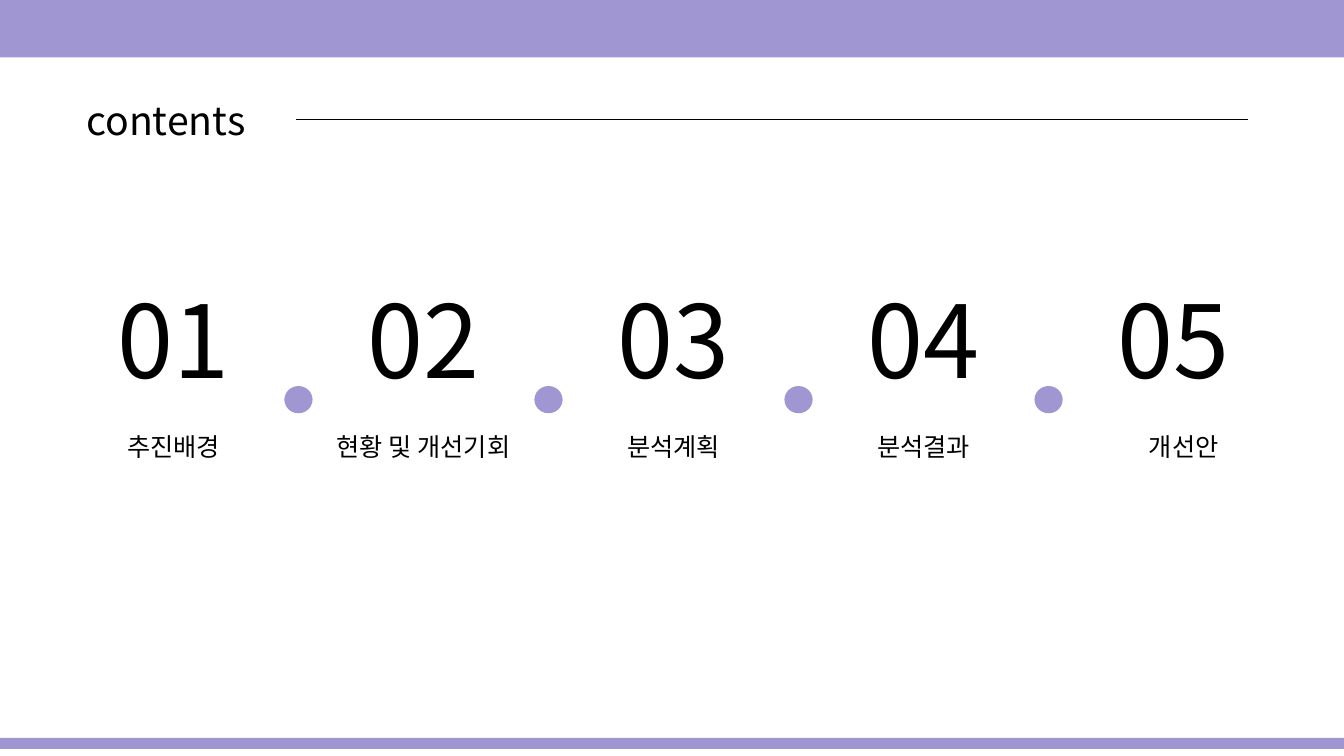
from lxml import etree
from pptx import Presentation
from pptx import util as u
from pptx.dml.color import RGBColor
from pptx.enum import shapes, text
from pptx.oxml.ns import qn

# Content: number, label, label shift from the column centre, label width
TITLE = "contents"
SECTIONS = [
    ("01", "추진배경", 0, 1.64),
    ("02", "현황 및 개선기회", 0, 2.35),
    ("03", "분석계획", 0, 1.64),
    ("04", "분석결과", 0, 1.64),
    ("05", "개선안", 0.1, 1.64),
]
FONT, PURPLE, BLACK = "Noto Sans CJK KR", "9F96D2", "000000"

# Grid, in inches
WIDTH, HEIGHT = 13.33, 7.5
FIRST_CENTER, COLUMN = 1.72, 2.48
DOT_WIDTH, DOT_HEIGHT = 0.28, 0.27

presentation = Presentation()
presentation.slide_width = u.Inches(WIDTH)
presentation.slide_height = u.Inches(HEIGHT)
slide = presentation.slides.add_slide(presentation.slide_layouts[6])


def color(value):
    return RGBColor.from_string(value)


def add_filled(kind, *box):
    shape = slide.shapes.add_shape(kind, *map(u.Inches, box))
    shape.shadow.inherit = False
    shape.fill.solid()
    shape.fill.fore_color.rgb = color(PURPLE)
    shape.line.fill.background()


def add_centered_text(content, size, center, top, width, height):
    box = (center - width / 2, top, width, height)
    frame = slide.shapes.add_textbox(*map(u.Inches, box)).text_frame
    frame.word_wrap = True
    frame.margin_left = frame.margin_right = 0
    paragraph = frame.paragraphs[0]
    paragraph.text = content
    paragraph.alignment = text.PP_ALIGN.CENTER
    paragraph.font.size = u.Pt(size)
    paragraph.font.name = FONT
    paragraph.font.color.rgb = color(BLACK)
    # Korean letters take the East Asian font
    defaults = paragraph._p.pPr.find(qn("a:defRPr"))
    etree.SubElement(defaults, qn("a:ea"), typeface=FONT)


# Top and bottom bands
add_filled(shapes.MSO_SHAPE.RECTANGLE, 0, 0, WIDTH, 0.57)
add_filled(shapes.MSO_SHAPE.RECTANGLE, 0, 7.32, WIDTH, 0.11)

# Title with its rule
add_centered_text(TITLE, 28, 1.645, 0.91, 1.79, 0.57)
rule = slide.shapes.add_connector(
    shapes.MSO_CONNECTOR.STRAIGHT, *map(u.Inches, (2.94, 1.18, 12.38, 1.18)))
rule.line.color.rgb = color(BLACK)
rule.line.width = u.Pt(0.5)
etree.SubElement(rule._element.spPr, qn("a:effectLst"))

# Sections, with a dot midway between neighbours
for index, (number, label, shift, label_width) in enumerate(SECTIONS):
    center = FIRST_CENTER + index * COLUMN
    add_centered_text(number, 72, center, 2.71, 1.5, 1.31)
    add_centered_text(label, 18, center + shift, 4.23, label_width, 0.4)
    if index < len(SECTIONS) - 1:
        add_filled(shapes.MSO_SHAPE.OVAL, center + COLUMN / 2 - DOT_WIDTH / 2,
                   3.83, DOT_WIDTH, DOT_HEIGHT)

presentation.save("out.pptx")
